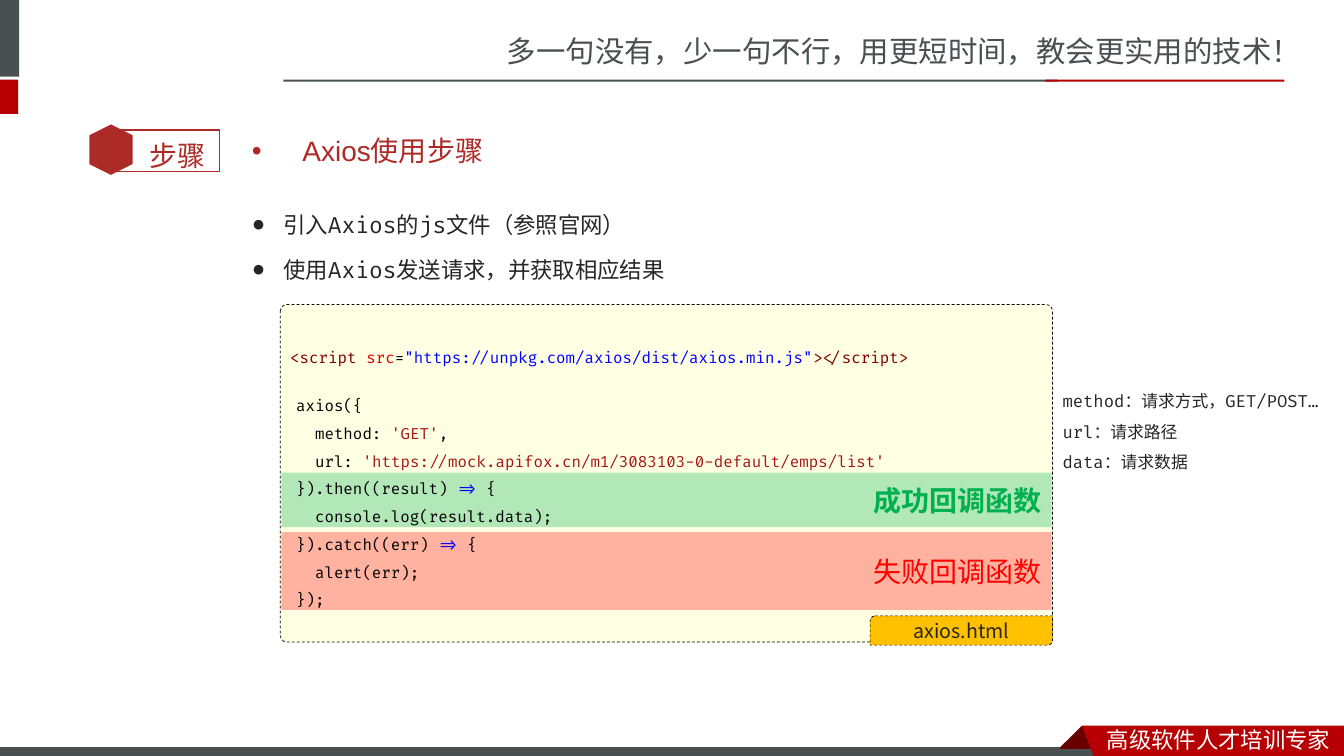
"""Build the slide on the steps for using Axios."""
from lxml.etree import SubElement
from pptx import Presentation
from pptx.dml.color import RGBColor
from pptx.enum.dml import MSO_LINE
from pptx.enum.shapes import MSO_SHAPE
from pptx.enum.text import MSO_ANCHOR, PP_ALIGN
from pptx.oxml.ns import qn
from pptx.util import Inches, Pt

GRAY, RED, DARK_RED = "49504F", "B60004", "680000"
BRICK, INK, BLACK, WHITE = "AD2B26", "262626", "000000", "FFFFFF"
TAG, ATTRIBUTE, STRING, BLUE = "800000", "E50000", "A31515", "0000FF"
CHINESE, LABEL, CODE = "Noto Sans CJK SC", "Noto Sans CJK JP", "Fira Code"

presentation = Presentation()
presentation.slide_width = Inches(13.33)
presentation.slide_height = Inches(7.5)
slide = presentation.slides.add_slide(presentation.slide_layouts[6])


def style_shape(shape, fill=None, line=None, width=0.5, dashed=False, opacity=None):
    shape.shadow.inherit = False
    if fill:
        shape.fill.solid()
        shape.fill.fore_color.rgb = RGBColor.from_string(fill)
    else:
        shape.fill.background()
    if opacity:
        color = shape.fill._xPr.find(qn("a:solidFill"))[0]
        SubElement(color, qn("a:alpha"), val=str(opacity * 1000))
    if line:
        shape.line.color.rgb = RGBColor.from_string(line)
        shape.line.width = Pt(width)
        if dashed:
            shape.line.dash_style = MSO_LINE.DASH
    else:
        shape.line.fill.background()


def write_text(paragraphs, box=None, shape=None, size=16, font=CHINESE, color=INK,
               bold=False, align=PP_ALIGN.LEFT, anchor=MSO_ANCHOR.TOP,
               spacing=None, bullet=None, indent=0):
    shape = shape or slide.shapes.add_textbox(*map(Inches, box))
    frame = shape.text_frame
    frame.word_wrap = True
    frame.vertical_anchor = anchor
    for index, runs in enumerate(paragraphs):
        paragraph = frame.add_paragraph() if index else frame.paragraphs[0]
        if bullet:
            properties = paragraph._p.get_or_add_pPr()
            properties.set("marL", str(Inches(indent)))
            properties.set("indent", str(-Inches(indent)))
            SubElement(properties, qn("a:buFont"), typeface="Arial")
            SubElement(properties, qn("a:buChar"), char=bullet)
            if index:
                paragraph.space_before = Pt(size * 0.2)
        paragraph.alignment = align
        if spacing:
            paragraph.line_spacing = spacing
        for text, run_color in [(runs, color)] if isinstance(runs, str) else runs:
            run = paragraph.add_run()
            run.text = text
            run.font.size = Pt(size)
            run.font.name = font
            run.font.bold = bold
            run.font.color.rgb = RGBColor.from_string(run_color)
            SubElement(run.font._rPr, qn("a:ea"), typeface=CHINESE)


write_text(["多一句没有，少一句不行，用更短时间，教会更实用的技术！"],
           box=(4.93, 0.28, 8.4, 0.47), size=21, color=GRAY)

bars = [
    (0, 0, 0.19, 0.76, GRAY, None),
    (0, 0.79, 0.18, 0.34, RED, None),
    (2.81, 0.79, 7.68, 0.02, GRAY, None),
    (10.37, 0.79, 2.37, 0.02, RED, None),
    (-0.01, 7.41, 11, 0.12, GRAY, WHITE),
]
for left, top, width, height, fill, line in bars:
    bar = slide.shapes.add_shape(
        MSO_SHAPE.RECTANGLE, *map(Inches, (left, top, width, height)))
    style_shape(bar, fill, line, width=0.75)

ribbons = [
    (DARK_RED, [(10.73, 7.2), (10.95, 7.42), (10.94, 7.43), (10.52, 7.43), (10.51, 7.42)]),
    (RED, [(10.73, 7.2), (13.33, 7.2), (13.33, 7.54), (10.86, 7.53)]),
]
for fill, points in ribbons:
    start, *corners = [(Inches(x), Inches(y)) for x, y in points]
    builder = slide.shapes.build_freeform(*start)
    builder.add_line_segments(corners, close=True)
    style_shape(builder.convert_to_shape(), fill)
write_text(["高级软件人才培训专家"], box=(10.88, 7.15, 2.45, 0.37), color=WHITE)

step_frame = slide.shapes.add_shape(
    MSO_SHAPE.RECTANGLE, Inches(1.09), Inches(1.29), Inches(1.09), Inches(0.41))
style_shape(step_frame, line=BRICK, width=1)
step_hexagon = slide.shapes.add_shape(
    MSO_SHAPE.HEXAGON, Inches(0.85), Inches(1.27), Inches(0.5), Inches(0.43))
step_hexagon.rotation = 90
style_shape(step_hexagon, BRICK)
write_text(["步骤"], box=(1.38, 1.16, 0.85, 0.56), size=20, font="Roboto",
           color=BRICK, spacing=1.5)

code_panel = slide.shapes.add_shape(
    MSO_SHAPE.ROUNDED_RECTANGLE, Inches(2.78), Inches(3.02), Inches(7.66), Inches(3.35))
code_panel.adjustments[0] = 0.02
style_shape(code_panel, "FFFFE4", BLACK, dashed=True)
file_tab = slide.shapes.add_shape(
    MSO_SHAPE.ROUND_2_DIAG_RECTANGLE, Inches(8.63), Inches(6.11), Inches(1.81), Inches(0.29))
style_shape(file_tab, "FFC000", BLACK, dashed=True)
write_text(["axios.html"], shape=file_tab, size=14, font=LABEL,
           align=PP_ALIGN.CENTER, anchor=MSO_ANCHOR.MIDDLE)

write_text(["Axios使用步骤"], box=(2.4, 1.21, 10.08, 0.57), size=20, font="Arial",
           color="AD2A26", anchor=MSO_ANCHOR.MIDDLE, bullet="•", indent=0.5)
write_text(["引入Axios的js文件（参照官网）", "使用Axios发送请求，并获取相应结果"],
           box=(2.4, 1.91, 10.08, 1.01), font=CODE, spacing=1.5, bullet="●", indent=0.31)

callbacks = [
    ("成功回调函数", 4.69, 0.54, "00B050", True),
    ("失败回调函数", 5.28, 0.77, "FF0000", False),
]
for name, top, height, color, bold in callbacks:
    band = slide.shapes.add_shape(
        MSO_SHAPE.RECTANGLE, Inches(2.79), Inches(top), Inches(7.64), Inches(height))
    style_shape(band, color, opacity=30)
    write_text([name], shape=band, size=20, font=LABEL, color=color, bold=bold,
               align=PP_ALIGN.RIGHT, anchor=MSO_ANCHOR.MIDDLE)

write_text(["method：请求方式，GET/POST…", "url：请求路径", "data：请求数据"],
           box=(10.44, 3.73, 2.77, 0.98), size=12, font=CODE, spacing=1.5)

script_tag = [
    ("<script ", TAG), ("src", ATTRIBUTE), ("=", BLACK),
    ('"https://unpkg.com/axios/dist/axios.min.js"', BLUE), ("></script>", TAG),
]
write_text([script_tag], box=(2.78, 3.31, 6.41, 0.36), size=11, font=CODE, spacing=1.5)

request_code = [
    "  axios({",
    [("    method: ", BLACK), ("'GET'", STRING), (",", BLACK)],
    [("    url: ", BLACK),
     ("'https://mock.apifox.cn/m1/3083103-0-default/emps/list'", STRING)],
    [("  }).then((result) ", BLACK), ("=>", BLUE), (" {", BLACK)],
    "    console.log(result.data);",
    [("  }).catch((err) ", BLACK), ("=>", BLUE), (" {", BLACK)],
    "    alert(err);",
    "  });",
]
write_text(request_code, box=(2.65, 3.79, 6.7, 2.3), size=11, font=CODE,
           color=BLACK, spacing=1.5)

presentation.save("out.pptx")
